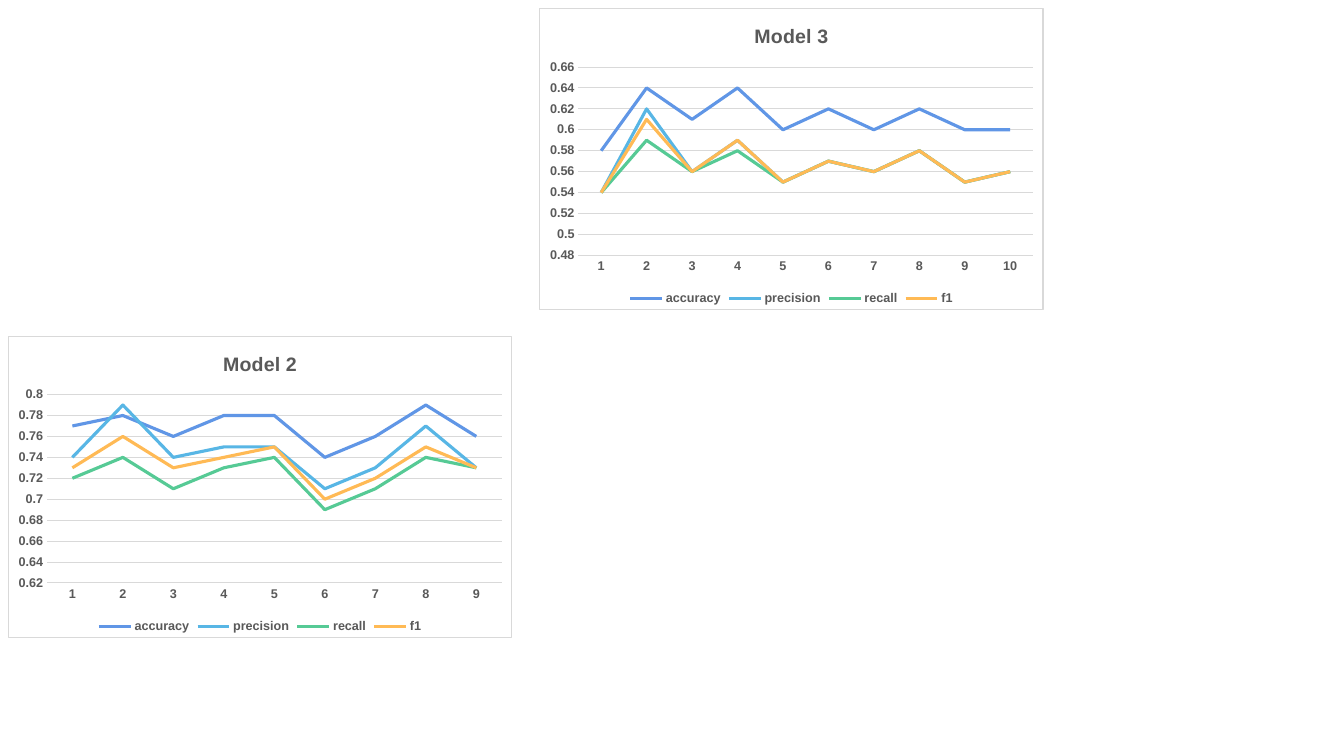
from dataclasses import dataclass

from lxml import etree
from pptx import Presentation
from pptx import util as u
from pptx.chart.data import CategoryChartData
from pptx.dml.color import RGBColor
from pptx.enum import chart as kinds
from pptx.oxml import ns


@dataclass(frozen=True)
class Theme:
    """Colours, type sizes and line widths of the slide."""
    font: str = "Arial"
    ink: str = "595959"
    rule: str = "D9D9D9"
    paper: str = "FFFFFF"
    series: tuple = ("6096E6", "58B6E5", "56CA95", "FFBA55")
    title_size: float = 14
    label_size: float = 9
    thin: float = 0.75
    thick: float = 2.25


@dataclass(frozen=True)
class Grid:
    """Equal cells for the charts, in inches."""
    margin: float = 0.08
    column_step: float = 5.27
    row_step: float = 3.25
    width: float = 5
    height: float = 3

    def cell(self, column, row):
        """Return left, top, width and height of a cell."""
        left = self.margin + column * self.column_step
        top = self.margin + row * self.row_step
        return [u.Inches(length) for length in (left, top, self.width, self.height)]


THEME = Theme()
GRID = Grid()
METRICS = ("accuracy", "precision", "recall", "f1")
MODEL_3 = (
    (0.58, 0.64, 0.61, 0.64, 0.6, 0.62, 0.6, 0.62, 0.6, 0.6),
    (0.54, 0.62, 0.56, 0.59, 0.55, 0.57, 0.56, 0.58, 0.55, 0.56),
    (0.54, 0.59, 0.56, 0.58, 0.55, 0.57, 0.56, 0.58, 0.55, 0.56),
    (0.54, 0.61, 0.56, 0.59, 0.55, 0.57, 0.56, 0.58, 0.55, 0.56),
)
MODEL_2 = (
    (0.77, 0.78, 0.76, 0.78, 0.78, 0.74, 0.76, 0.79, 0.76),
    (0.74, 0.79, 0.74, 0.75, 0.75, 0.71, 0.73, 0.77, 0.73),
    (0.72, 0.74, 0.71, 0.73, 0.74, 0.69, 0.71, 0.74, 0.73),
    (0.73, 0.76, 0.73, 0.74, 0.75, 0.7, 0.72, 0.75, 0.73),
)


def style_font(font, size):
    """Set a bold grey font of the given size."""
    font.name, font.size, font.bold = THEME.font, u.Pt(size), True
    font.color.rgb = RGBColor.from_string(THEME.ink)


def style_line(line, color, width):
    """Set the colour and width of a line."""
    line.color.rgb = RGBColor.from_string(color)
    line.width = u.Pt(width)


def frame_chart(chart):
    """Give the chart area a plain fill and a square thin border."""
    space = chart.element
    corners = etree.Element(ns.qn("c:roundedCorners"), val="0")
    space.find(ns.qn("c:date1904")).addnext(corners)
    properties = etree.Element(ns.qn("c:spPr"))
    border = etree.Element(ns.qn("a:ln"), w=str(u.Pt(THEME.thin)))
    for parent, color in ((properties, THEME.paper), (border, THEME.rule)):
        fill = etree.SubElement(parent, ns.qn("a:solidFill"))
        etree.SubElement(fill, ns.qn("a:srgbClr"), val=color)
    properties.append(border)
    space.find(ns.qn("c:chart")).addnext(properties)


def style_title(chart, title):
    """Write the chart title above the plot."""
    chart.has_title = True
    chart.chart_title.include_in_layout = False
    run = chart.chart_title.text_frame.paragraphs[0].add_run()
    run.text = title
    style_font(run.font, THEME.title_size)


def style_axes(chart, low, high):
    """Set the scale, labels and rules of both axes."""
    for axis in (chart.category_axis, chart.value_axis):
        axis.major_tick_mark = axis.minor_tick_mark = kinds.XL_TICK_MARK.NONE
        style_font(axis.tick_labels.font, THEME.label_size)
    style_line(chart.category_axis.format.line, THEME.rule, THEME.thin)
    values = chart.value_axis
    values.minimum_scale, values.maximum_scale, values.major_unit = low, high, 0.02
    values.format.line.fill.background()
    style_line(values.major_gridlines.format.line, THEME.rule, THEME.thin)


def style_legend(chart):
    """Place the legend below the plot."""
    chart.has_legend = True
    chart.legend.position = kinds.XL_LEGEND_POSITION.BOTTOM
    chart.legend.include_in_layout = False
    style_font(chart.legend.font, THEME.label_size)


def add_metric_chart(slide, title, scores, scale, column, row):
    """Add a line chart of the four metrics in a grid cell."""
    data = CategoryChartData()
    data.categories = [str(number + 1) for number in range(len(scores[0]))]
    for metric, values in zip(METRICS, scores):
        data.add_series(metric, values)
    chart = slide.shapes.add_chart(
        kinds.XL_CHART_TYPE.LINE, *GRID.cell(column, row), data).chart
    style_font(chart.font, THEME.label_size)
    frame_chart(chart)
    style_title(chart, title)
    style_axes(chart, *scale)
    style_legend(chart)
    chart.plots[0].vary_by_categories = False
    for series, color in zip(chart.plots[0].series, THEME.series):
        series.smooth = False
        style_line(series.format.line, color, THEME.thick)


def main():
    """Build the slide and save it."""
    presentation = Presentation()
    presentation.slide_width = u.Inches(13.33)
    presentation.slide_height = u.Inches(7.5)
    slide = presentation.slides.add_slide(presentation.slide_layouts[6])
    add_metric_chart(slide, "Model 3", MODEL_3, (0.48, 0.66), column=1, row=0)
    add_metric_chart(slide, "Model 2", MODEL_2, (0.62, 0.8), column=0, row=1)
    presentation.save("out.pptx")


main()
